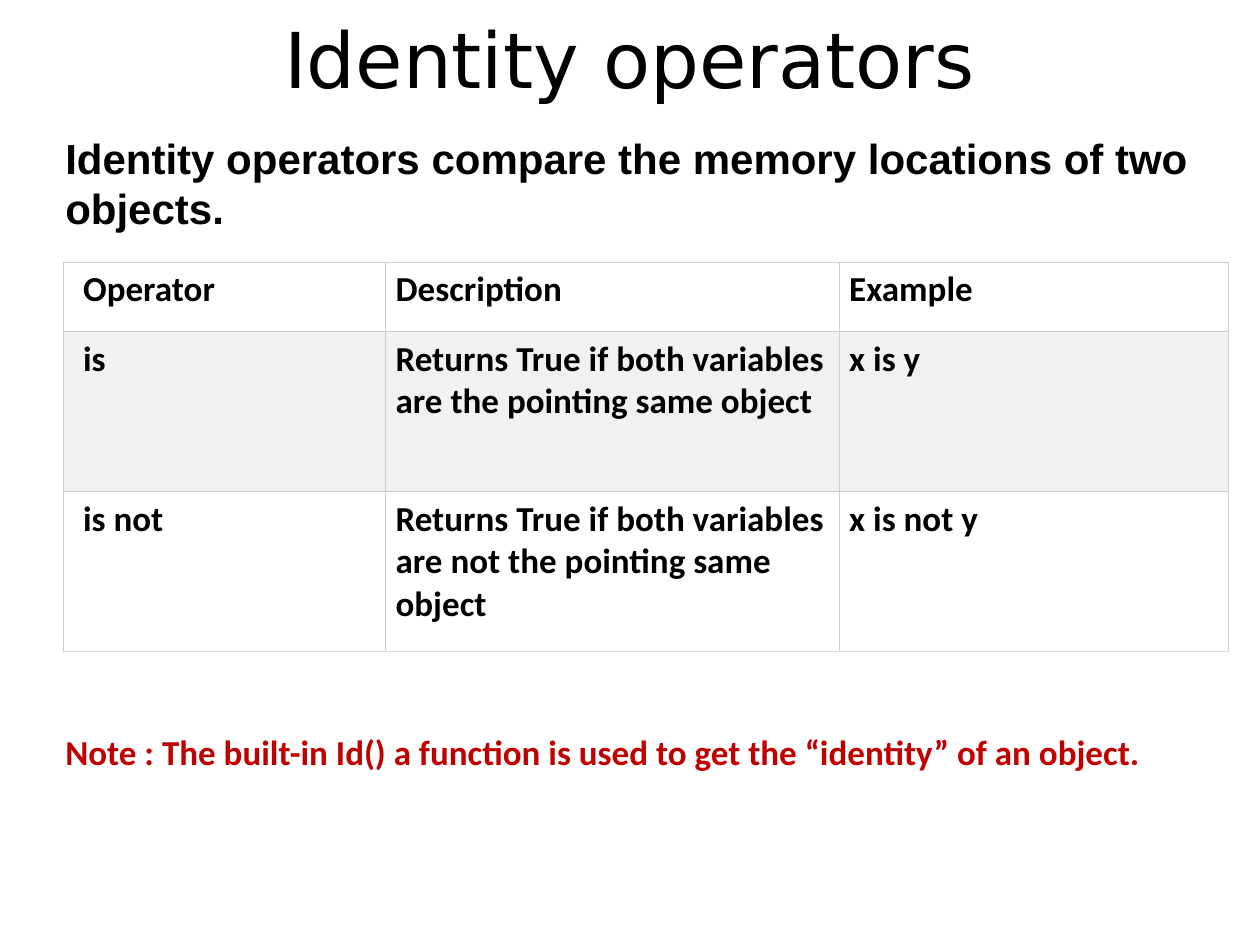
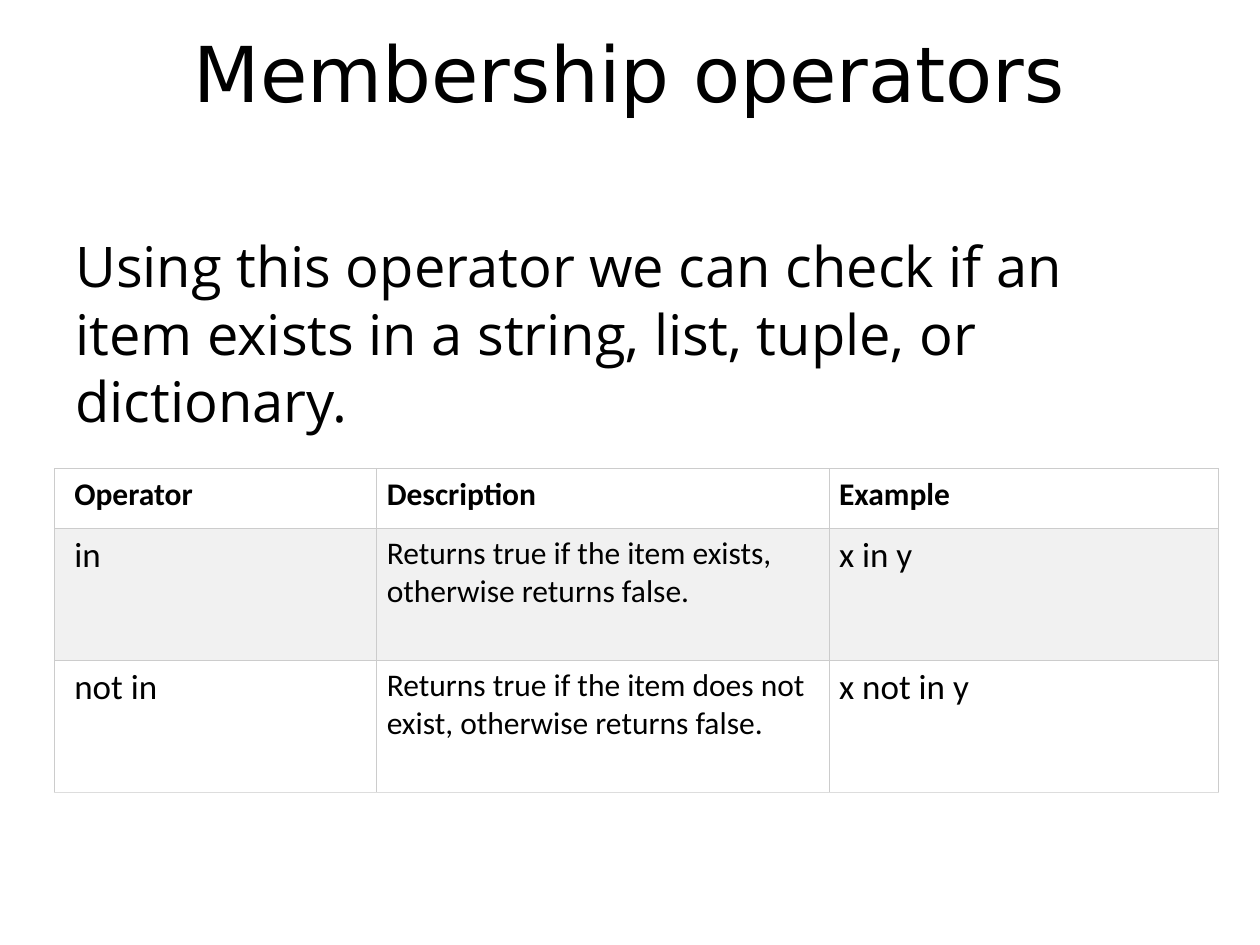
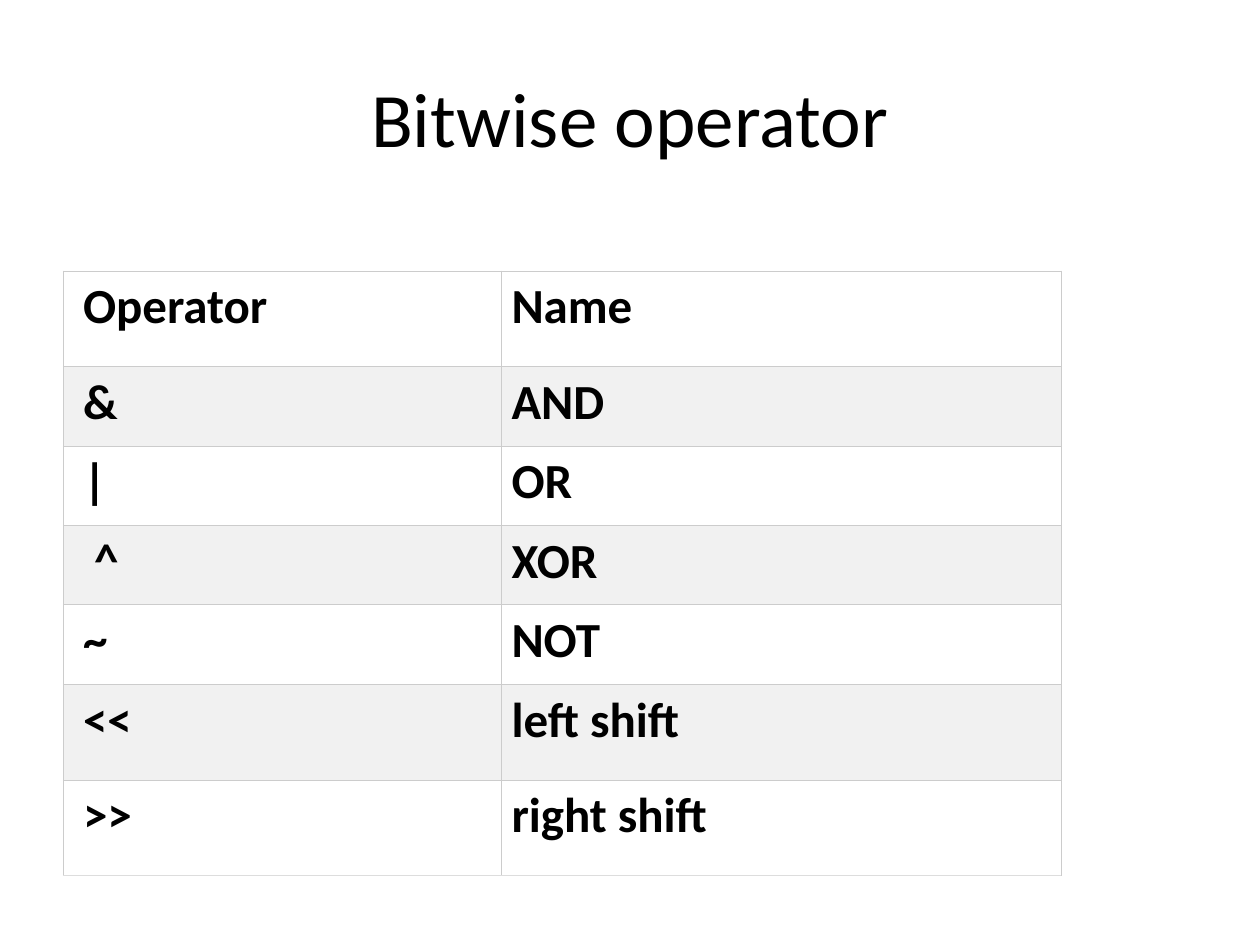
from lxml import etree
from pptx import Presentation
from pptx.dml.color import RGBColor
from pptx.enum import text
from pptx.oxml import ns
from pptx.util import Inches, Pt

BLACK = RGBColor(0x00, 0x00, 0x00)
WHITE = RGBColor(0xFF, 0xFF, 0xFF)
BAND = RGBColor(0xF1, 0xF1, 0xF1)
GRID = RGBColor(0xCC, 0xCC, 0xCC)
TABLE_END = RGBColor(0xDD, 0xDD, 0xDD)
NOTE_RED = RGBColor(0xC0, 0x00, 0x00)
BORDER_WIDTH = Pt(0.34)


def set_font(paragraph, name, size, bold=False, color=BLACK):
    font = paragraph.font
    font.name = name
    font.size = Pt(size)
    font.bold = bold
    font.color.rgb = color


def add_text(slide, box, wording, name, size, bold=False, color=BLACK):
    shape = slide.shapes.add_textbox(*map(Inches, box))
    frame = shape.text_frame
    frame.word_wrap = True
    paragraph = frame.paragraphs[0]
    paragraph.text = wording
    set_font(paragraph, name, size, bold, color)
    return shape


def add_title(slide, box, wording, name="DejaVu Sans"):
    shape = add_text(slide, box, wording, name, 44)
    shape.text_frame.vertical_anchor = text.MSO_ANCHOR.MIDDLE
    shape.text_frame.paragraphs[0].alignment = text.PP_ALIGN.CENTER


def set_borders(cell, bottom):
    properties = cell._tc.get_or_add_tcPr()
    sides = {"lnL": GRID, "lnR": GRID, "lnT": GRID, "lnB": bottom}
    for side, color in sides.items():
        line = etree.SubElement(properties, ns.qn(f"a:{side}"), w=str(int(BORDER_WIDTH)))
        fill = etree.SubElement(line, ns.qn("a:solidFill"))
        etree.SubElement(fill, ns.qn("a:srgbClr"), val=str(color))


def add_operator_table(slide, left, top, widths, heights, rows, header_size, sizes, bold):
    frame = slide.shapes.add_table(
        len(rows), len(widths), Inches(left), Inches(top),
        Inches(sum(widths)), Inches(sum(heights)))
    table = frame.table
    table.first_row = False
    table.horz_banding = False
    for column, width in zip(table.columns, widths):
        column.width = Inches(width)
    for row, height in zip(table.rows, heights):
        row.height = Inches(height)
    for row_index, row in enumerate(rows):
        is_header = row_index == 0
        bottom = TABLE_END if row_index == len(rows) - 1 else GRID
        for column_index, wording in enumerate(row):
            cell = table.cell(row_index, column_index)
            cell.margin_left = Inches(0.08 if column_index else 0.16)
            cell.margin_right = Inches(0.08)
            cell.margin_top = cell.margin_bottom = Inches(0.05)
            set_borders(cell, bottom)
            cell.fill.solid()
            cell.fill.fore_color.rgb = BAND if row_index % 2 else WHITE
            paragraph = cell.text_frame.paragraphs[0]
            paragraph.text = wording
            size = header_size if is_header else sizes[column_index]
            set_font(paragraph, "Calibri", size, is_header or bold)


def build_identity(slide):
    add_title(slide, (0.5, 0.06, 9, 0.8), "Identity operators")
    rows = [
        ("Operator", "Description", "Example"),
        ("is", "Returns True if both variables are the pointing same object", "x is y"),
        ("is not", "Returns True if both variables are not the pointing same object", "x is not y"),
    ]
    add_operator_table(slide, 0.5, 2.08, (2.56, 3.6, 3.09), (0.55, 1.27, 1.27),
                       rows, 20, (20, 20, 20), True)
    add_text(slide, (0.42, 1, 9.25, 0.9),
             "Identity operators compare the memory locations of two objects.",
             "Arial", 24, True)
    add_text(slide, (0.42, 5.75, 9.33, 0.44),
             "Note : The built-in Id() a function is used to get the “identity” of an object.",
             "Calibri", 20, True, NOTE_RED)


def build_membership(slide):
    add_title(slide, (0.5, 0.17, 9, 0.8), "Membership operators")
    body = add_text(
        slide, (0.5, 1.79, 9, 4.91),
        "Using this operator we can check if an item exists in a string, list, tuple, or dictionary.",
        "Open Sans", 32)
    body.text_frame.paragraphs[0].line_spacing = Pt(38.5)
    rows = [
        ("Operator", "Description", "Example"),
        ("in", "Returns true if the item exists, otherwise returns false.", "x in y"),
        ("not in", "Returns true if the item does not exist, otherwise returns false.", "x not in y"),
    ]
    add_operator_table(slide, 0.43, 3.72, (2.56, 3.59, 3.09), (0.47, 1.05, 1.05),
                       rows, 18, (20, 18, 20), False)


def build_bitwise(slide):
    add_title(slide, (0.5, 0.3, 9, 1.25), "Bitwise operator", "Calibri")
    rows = [
        ("Operator", "Name"),
        ("&", "AND"),
        ("|", "OR"),
        (" ^", "XOR"),
        ("~", "NOT"),
        ("<<", "left shift"),
        (">>", "right shift"),
    ]
    heights = [0.76] + [0.63] * 4 + [0.76] * 2
    add_operator_table(slide, 0.5, 2.15, (3.48, 4.44), heights,
                       rows, 28, (28, 28), True)


def main():
    presentation = Presentation()
    presentation.slide_width = Inches(10)
    presentation.slide_height = Inches(7.5)
    blank = presentation.slide_layouts[6]
    for build in (build_identity, build_membership, build_bitwise):
        build(presentation.slides.add_slide(blank))
    presentation.save("out.pptx")


if __name__ == "__main__":
    main()
